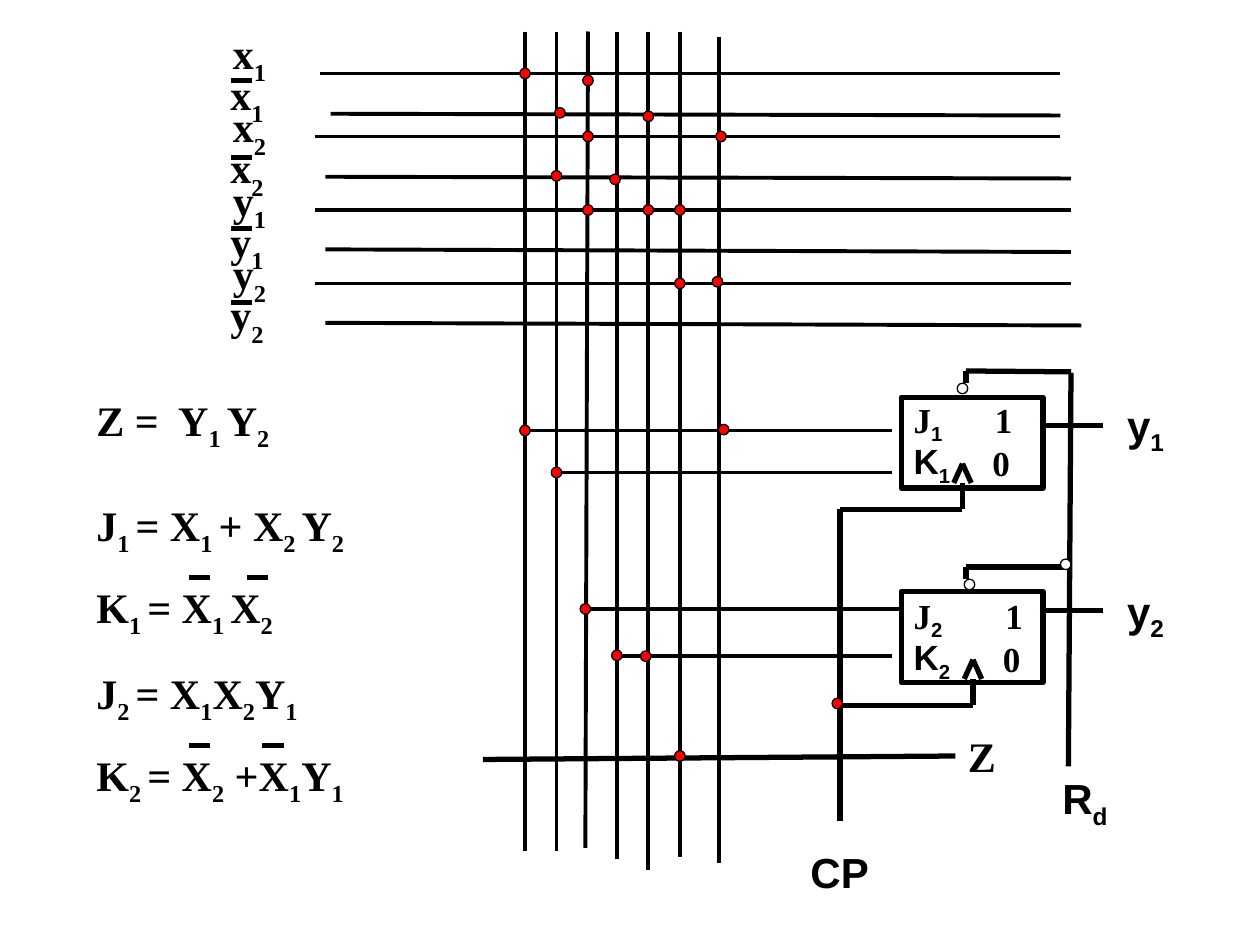
"""Draw the two-flip-flop logic array with its excitation equations."""
from pptx import Presentation
from pptx.dml.color import RGBColor
from pptx.enum import shapes, text
from pptx.util import Pt
from lxml import etree

SERIF, SANS = "Times New Roman", "Arial"
DRAWING = "{http://schemas.openxmlformats.org/drawingml/2006/main}"


def color(value):
    return RGBColor.from_string(value)


def add_spans(para, content, size=24, font=SERIF, sub_font=None, drop=-25):
    for index, part in enumerate(content.split("_")):
        if not part:
            continue
        span = para.add_run()
        span.text = part
        lowered = index % 2 == 1
        span.font.name = sub_font if lowered and sub_font else font
        span.font.size = Pt(size)
        span.font.bold = True
        span.font.color.rgb = color("000000")
        if lowered:
            span.font._element.set("baseline", str(drop * 1000))


class Diagram:
    def __init__(self, page, ink="000000", thin=2.25, thick=3):
        self.page, self.ink, self.thin, self.thick = page, ink, thin, thick

    def line(self, x1, y1, x2, y2, width=None):
        wire = self.page.shapes.add_connector(
            shapes.MSO_CONNECTOR.STRAIGHT, Pt(x1), Pt(y1), Pt(x2), Pt(y2))
        wire.line.color.rgb = color(self.ink)
        wire.line.width = Pt(width or self.thick)
        etree.SubElement(wire._element.spPr, DRAWING + "effectLst")

    def outline(self, kind, x, y, width, height, weight, fill=None):
        box = self.page.shapes.add_shape(kind, Pt(x), Pt(y), Pt(width), Pt(height))
        box.shadow.inherit = False
        box.line.color.rgb = color(self.ink)
        box.line.width = Pt(weight)
        if fill:
            box.fill.solid()
            box.fill.fore_color.rgb = color(fill)
        else:
            box.fill.background()

    def dot(self, x, y, fill="FF0000"):
        self.outline(shapes.MSO_SHAPE.OVAL, x - 3, y - 3, 6, 6, 0.75, fill)

    def block(self, x, y, width, height):
        self.outline(shapes.MSO_SHAPE.RECTANGLE, x, y, width, height, self.thick)

    def label(self, x, y, width, *lines, height=36, **style):
        box = self.page.shapes.add_textbox(Pt(x), Pt(y), Pt(width), Pt(height))
        frame = box.text_frame
        frame.word_wrap = True
        frame.auto_size = text.MSO_AUTO_SIZE.SHAPE_TO_FIT_TEXT
        for index, content in enumerate(lines):
            para = frame.add_paragraph() if index else frame.paragraphs[0]
            para.space_before = Pt(14 if index else 0)
            add_spans(para, content, **style)


def draw_buses(diagram):
    buses = [
        ("x_1", 42, 183, 606, 65, 66, 189, 606, 46),
        ("x_2", 78, 180, 606, 101, 102, 186, 612, 90),
        ("y_1", 120, 180, 612, 142.5, 144, 186, 612, 130.5),
        ("y_2", 162, 180, 612, 184.5, 186, 186, 618, 173),
    ]
    for row, (name, y, left, right, y1, y2, bar_left, bar_right, bar) in enumerate(buses):
        diagram.line(left, y, right, y, diagram.thin)
        diagram.line(bar_left, y1, bar_right, y2, diagram.thin)
        diagram.label(126, 12 + 42 * row, 48, name, drop=-30)
        diagram.label(124.5, 35.5 + 42 * row, 48, name, drop=-30)
        diagram.line(132, bar, 144, bar)


def draw_columns(diagram):
    columns = [(300, 18, 300, 486), (318, 18, 318, 486), (336, 18, 334.5, 484.5),
               (352.5, 18.5, 352.5, 491), (370.5, 18, 370.5, 497),
               (388.5, 18, 388.5, 490), (411, 21, 411, 493)]
    inputs = [(300, 246, 510), (318, 270, 510), (336, 348, 516), (354, 375, 510)]
    for column in columns:
        diagram.line(*column, diagram.thin)
    for left, y, right in inputs:
        diagram.line(right, y, left, y, diagram.thin)


def draw_flip_flop(diagram, number, box_top, top, clock_x, output_y, name_top):
    diagram.block(515, box_top, 81, 52)
    diagram.label(515, top, 45, f"J_{number}", height=31, size=20, sub_font=SANS)
    diagram.label(515, top + 23.75, 40, f"K_{number}", height=31, size=20, font=SANS)
    diagram.label(clock_x + 11.5, top, 30, "1", height=31, size=20)
    diagram.label(clock_x + 10, top + 24.5, 30, "0", height=31, size=20)
    for side in (-5, 5):
        diagram.line(clock_x, top + 41, clock_x + side, top + 52)
    diagram.line(clock_x, top + 67, clock_x, top + 52)
    diagram.line(clock_x, top + 67, 480, top + 67)
    diagram.line(594, output_y, 630, output_y)
    diagram.label(637, name_top, 47, f"y_{number}", font=SANS)


def draw_control_lines(diagram):
    diagram.line(612, 213, 610.5, 438)
    diagram.line(480, 291, 480, 469)
    diagram.line(276, 434, 546, 432)
    for circle_x, circle_y, stem_bottom, y, end_y in [
            (550, 222, 219, 212, 212.5), (554, 334, 331, 324, 324)]:
        diagram.dot(circle_x, circle_y, None)
        diagram.line(552, stem_bottom, 552, y)
        diagram.line(552, y, 612, end_y)
    diagram.dot(609, 322.5, "FFFFFF")
    diagram.label(456, 480, 54, "CP", font=SANS)
    diagram.label(600, 438, 47, "R_d", font=SANS)
    diagram.label(546, 414, 48, "Z")


def draw_equations(diagram):
    diagram.label(48, 222, 126, "Z =  Y_1 _Y_2")
    diagram.label(48, 282, 194, "J_1 _= X_1 _+ X_2 _Y_2",
                  "K_1 _= X_1 _X_2", height=80)
    diagram.label(48, 378, 258, "J_2 _= X_1_X_2_Y_1",
                  "K_2 _= X_2_ +X_1_Y_1", height=80)
    for x, y in [(108, 330), (141, 330), (108, 426), (150, 426)]:
        diagram.line(x, y, x + 12, y)


def main():
    deck = Presentation()
    deck.slide_width, deck.slide_height = Pt(720), Pt(540)
    diagram = Diagram(deck.slides.add_slide(deck.slide_layouts[6]))
    draw_buses(diagram)
    draw_columns(diagram)
    draw_flip_flop(diagram, 1, 227, 224, 550, 243, 224.5)
    draw_flip_flop(diagram, 2, 338, 336, 556, 349, 331)
    draw_control_lines(diagram)
    draw_equations(diagram)
    junctions = [
        (300, 42), (336, 46), (320, 64.5), (370.5, 66.5), (336, 78), (412, 78),
        (318, 100.5), (351.5, 102.5), (336, 120), (370.5, 120), (388.5, 120),
        (388.5, 162), (410, 161), (300, 246), (413.5, 245.5), (318, 270),
        (334.5, 348), (352.5, 374.5), (369, 375), (478.5, 402), (388.5, 432)]
    for x, y in junctions:
        diagram.dot(x, y)
    deck.save("out.pptx")


if __name__ == "__main__":
    main()
